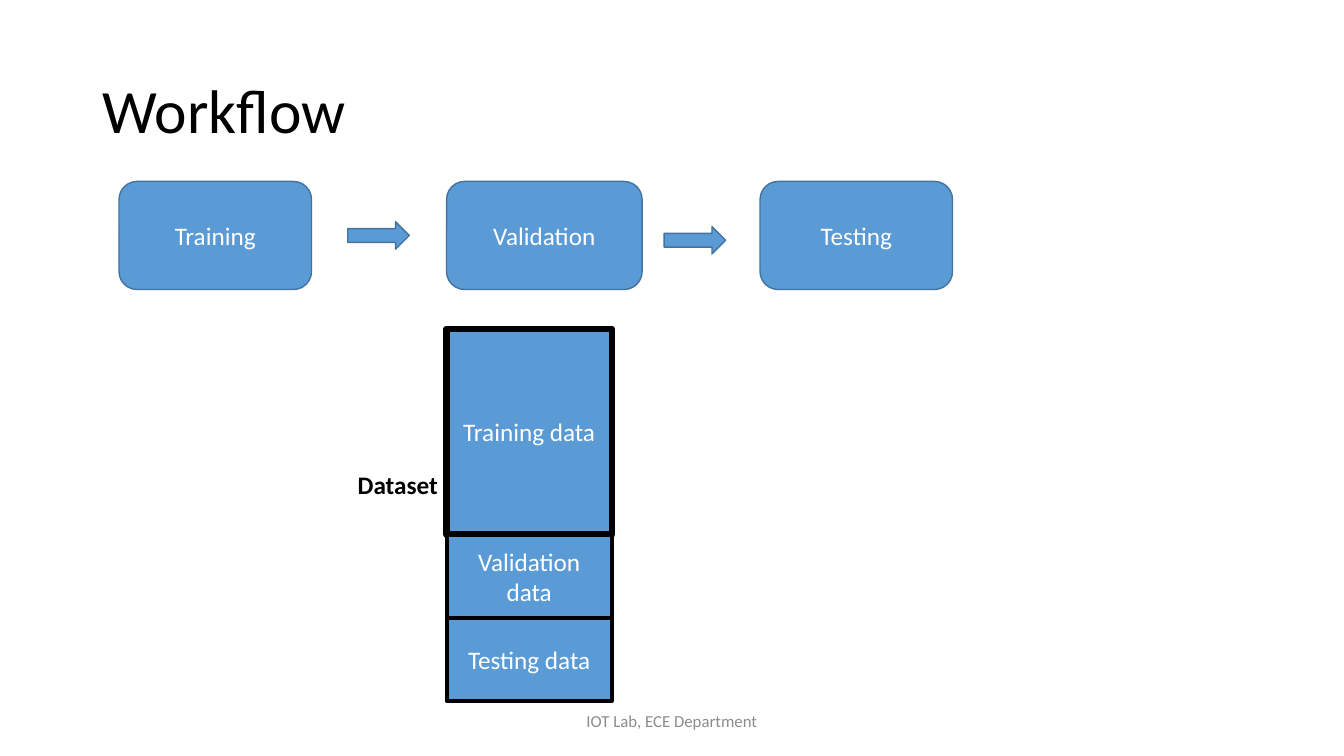
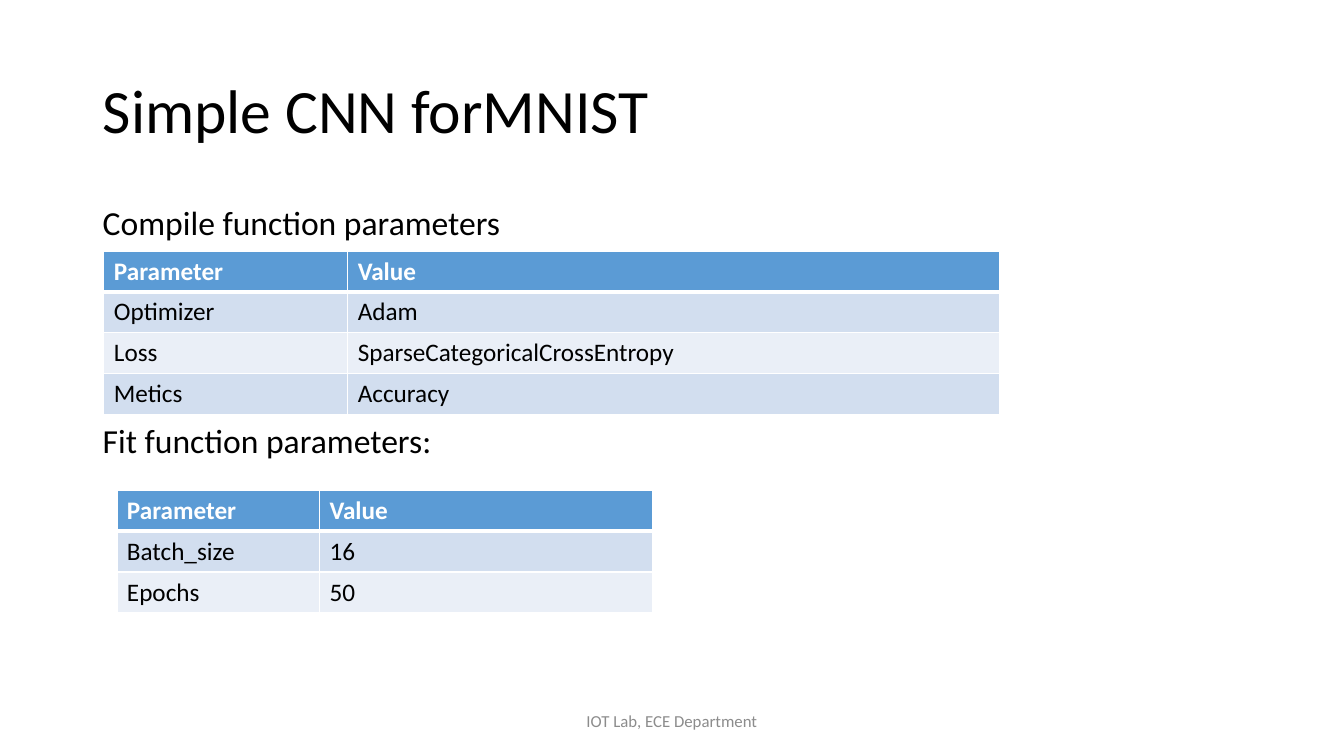
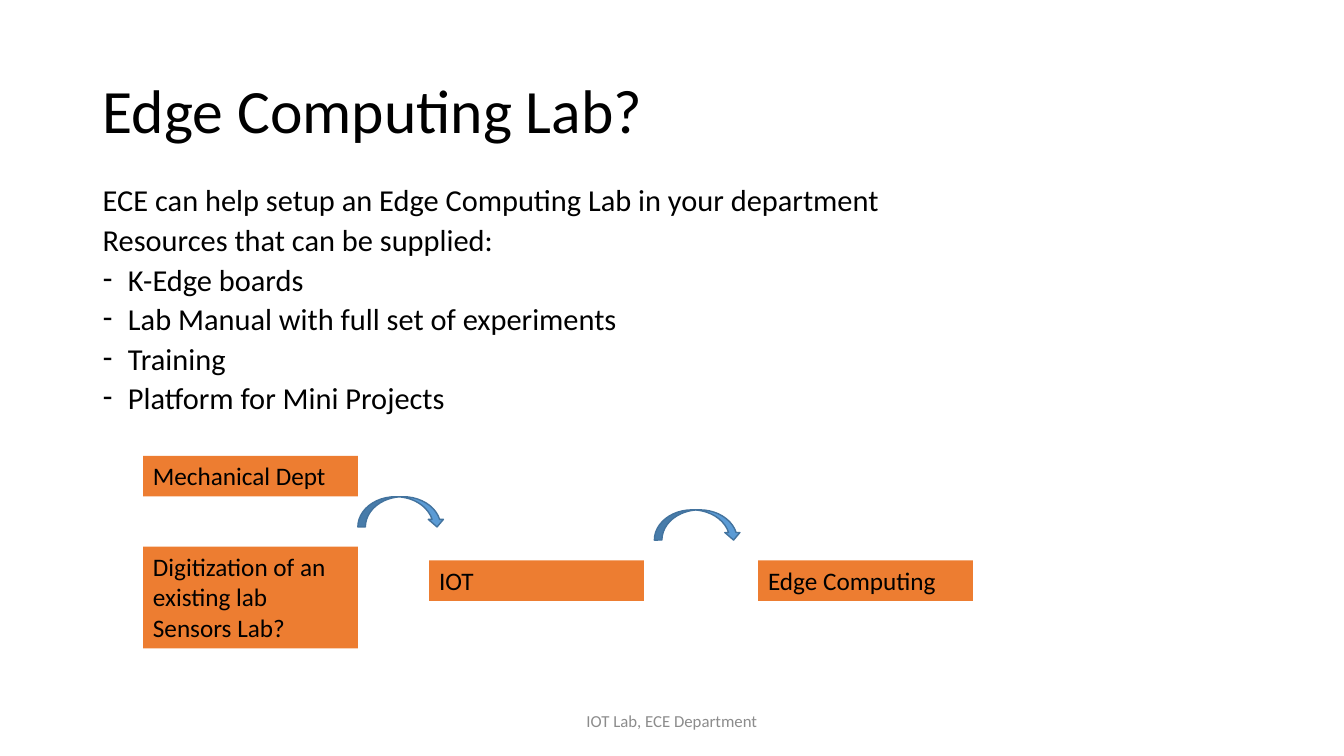
from dataclasses import dataclass

import pptx
import pptx.dml.color
import pptx.enum.shapes
import pptx.enum.text
import pptx.oxml
import pptx.oxml.ns
import pptx.util

Pt = pptx.util.Pt
RGBColor = pptx.dml.color.RGBColor
Kind = pptx.enum.shapes.MSO_SHAPE
Align = pptx.enum.text.PP_ALIGN
Anchor = pptx.enum.text.MSO_ANCHOR
Fit = pptx.enum.text.MSO_AUTO_SIZE

FONT = "Calibri"
BLACK = RGBColor(0x00, 0x00, 0x00)
WHITE = RGBColor(0xFF, 0xFF, 0xFF)
GREY = RGBColor(0x8C, 0x8C, 0x8C)
BLUE = RGBColor(0x5B, 0x9B, 0xD5)
NAVY = RGBColor(0x43, 0x73, 0x9E)
ORANGE = RGBColor(0xED, 0x7D, 0x31)
BANDS = (RGBColor(0xEA, 0xEF, 0xF7), RGBColor(0xD2, 0xDE, 0xEF))

ROW = 29.2
LABEL = 18


@dataclass(frozen=True)
class Area:
    left: float
    top: float
    width: float
    height: float

    def points(self) -> tuple:
        return Pt(self.left), Pt(self.top), Pt(self.width), Pt(self.height)


@dataclass(frozen=True)
class Style:
    fill: RGBColor
    ink: RGBColor
    line: RGBColor | None = None
    weight: float = 1
    align: Align = Align.CENTER
    anchor: Anchor = Anchor.MIDDLE


@dataclass(frozen=True)
class Box:
    kind: Kind
    area: Area
    style: Style
    lines: tuple[str, ...] = ()


@dataclass(frozen=True)
class Grid:
    left: float
    top: float
    widths: tuple[float, ...]
    rows: tuple[tuple[str, ...], ...]


@dataclass(frozen=True)
class Line:
    text: str
    before: float = 10
    dash: bool = False


TITLE = Area(66.2, 28.8, 828, 104.4)
FOOTER = Area(318, 500.4, 324, 28.8)
STEP = Style(BLUE, WHITE, NAVY)
TRAIN = Style(BLUE, WHITE, BLACK, 4.5)
SPLIT = Style(BLUE, WHITE, BLACK, 3)
TAG = Style(ORANGE, BLACK, align=Align.LEFT, anchor=Anchor.TOP)


def add_run(para, text: str, size: float, ink: RGBColor, bold: bool = False) -> None:
    run = para.add_run()
    run.text = text
    font = run.font
    font.name, font.size, font.bold = FONT, Pt(size), bold
    font.color.rgb = ink


def get_para(frame, index: int):
    return frame.add_paragraph() if index else frame.paragraphs[0]


def place(shape, area: Area) -> None:
    shape.left, shape.top, shape.width, shape.height = area.points()


def add_text(slide, area: Area, text: str, size: float, ink: RGBColor,
             align: Align, anchor: Anchor, bold: bool = False) -> None:
    frame = slide.shapes.add_textbox(*area.points()).text_frame
    frame.word_wrap = True
    frame.vertical_anchor = anchor
    frame.paragraphs[0].alignment = align
    add_run(frame.paragraphs[0], text, size, ink, bold)


def add_slide(deck, layout: int, title: str):
    """Start a slide with the common title and footer."""
    slide = deck.slides.add_slide(deck.slide_layouts[layout])
    head = slide.shapes.title
    place(head, TITLE)
    frame = head.text_frame
    frame.auto_size = Fit.NONE
    frame.vertical_anchor = Anchor.MIDDLE
    para = frame.paragraphs[0]
    para.alignment, para.line_spacing = Align.LEFT, 0.9
    add_run(para, title, 44, BLACK)
    add_text(slide, FOOTER, "IOT Lab, ECE Department", 12, GREY,
             Align.CENTER, Anchor.MIDDLE)
    return slide


def set_bullet(para, dash: bool) -> None:
    props = para._p.get_or_add_pPr()
    indent = Pt(18) if dash else 0
    props.set("marL", str(indent))
    props.set("indent", str(-indent))
    mark = pptx.oxml.parse_xml(
        f'<a:{"buChar" if dash else "buNone"} {pptx.oxml.ns.nsdecls("a")}/>')
    if dash:
        mark.set("char", "-")
    props.append(mark)


def fill_body(slide, area: Area, lines: tuple[Line, ...], size: float,
              pitch: float) -> None:
    body = slide.placeholders[1]
    place(body, area)
    frame = body.text_frame
    frame.auto_size = Fit.NONE
    for index, line in enumerate(lines):
        para = get_para(frame, index)
        set_bullet(para, line.dash)
        para.line_spacing = pitch
        para.space_before = Pt(line.before if index else 0)
        add_run(para, line.text, size, BLACK)


def draw_box(slide, box: Box) -> None:
    shape = slide.shapes.add_shape(box.kind, *box.area.points())
    style = box.style
    shape.shadow.inherit = False
    shape.fill.solid()
    shape.fill.fore_color.rgb = style.fill
    if style.line is None:
        shape.line.fill.background()
    else:
        shape.line.color.rgb = style.line
        shape.line.width = Pt(style.weight)
    frame = shape.text_frame
    frame.word_wrap = True
    frame.vertical_anchor = style.anchor
    for index, text in enumerate(box.lines):
        para = get_para(frame, index)
        para.alignment = style.align
        add_run(para, text, LABEL, style.ink)


def set_border(cell, row: int) -> None:
    """Rule the cell in white, with a thick line below the header row."""
    props = cell._tc.get_or_add_tcPr()
    weights = {"L": 1, "R": 1, "T": 3 if row == 1 else 1, "B": 1 if row else 3}
    for side, weight in weights.items():
        props.append(pptx.oxml.parse_xml(
            f'<a:ln{side} {pptx.oxml.ns.nsdecls("a")} w="{Pt(weight)}">'
            f'<a:solidFill><a:srgbClr val="{WHITE}"/></a:solidFill></a:ln{side}>'))


def draw_grid(slide, grid: Grid) -> None:
    count = len(grid.rows)
    area = Area(grid.left, grid.top, sum(grid.widths), ROW * count)
    table = slide.shapes.add_table(count, len(grid.widths), *area.points()).table
    for column, width in zip(table.columns, grid.widths):
        column.width = Pt(width)
    for row, texts in enumerate(grid.rows):
        table.rows[row].height = Pt(ROW)
        for col, text in enumerate(texts):
            cell = table.cell(row, col)
            set_border(cell, row)
            cell.fill.solid()
            cell.fill.fore_color.rgb = BANDS[row % 2] if row else BLUE
            add_run(cell.text_frame.paragraphs[0], text, LABEL,
                    BLACK if row else WHITE, bold=row == 0)


def build_flow(deck) -> None:
    slide = add_slide(deck, 5, "Workflow")
    for left, width, text in ((85, 137.5, "Training"), (319, 139.7, "Validation"),
                              (542.9, 137.5, "Testing")):
        draw_box(slide, Box(Kind.ROUNDED_RECTANGLE, Area(left, 129.6, width, 77.2),
                            STEP, (text,)))
    for left, top in ((248.4, 158.4), (474.4, 161.8)):
        draw_box(slide, Box(Kind.RIGHT_ARROW, Area(left, top, 44, 19.6), STEP))
    for top, height, style, text in ((234.8, 147, TRAIN, "Training data"),
                                     (382.2, 59.2, SPLIT, "Validation data"),
                                     (441.4, 59.2, SPLIT, "Testing data")):
        draw_box(slide, Box(Kind.RECTANGLE, Area(319, top, 118, height),
                            style, (text,)))
    add_text(slide, Area(248.4, 332, 101.5, 29), "Dataset", LABEL, BLACK,
             Align.LEFT, Anchor.TOP, bold=True)


def build_model(deck) -> None:
    slide = add_slide(deck, 1, "Simple CNN forMNIST")
    fill_body(slide, Area(66.2, 144, 828, 342.6),
              (Line("Compile function parameters"),
               Line("Fit function parameters:", before=130)), 24, 0.9)
    head = ("Parameter", "Value")
    draw_grid(slide, Grid(83.5, 350.2, (144.7, 237.6),
                          (head, ("Batch_size", "16"), ("Epochs", "50"))))
    draw_grid(slide, Grid(74.2, 179.3, (174.2, 465.8),
                          (head, ("Optimizer", "Adam"),
                           ("Loss", "SparseCategoricalCrossEntropy"),
                           ("Metics", "Accuracy"))))


def build_lab(deck) -> None:
    slide = add_slide(deck, 1, "Edge Computing Lab?")
    fill_body(slide, Area(66.2, 133.2, 828, 174.2),
              (Line("ECE can help setup an Edge Computing Lab in your department"),
               Line("Resources that can be supplied:"),
               Line("K-Edge boards", dash=True),
               Line("Lab Manual with full set of experiments", dash=True),
               Line("Training", dash=True),
               Line("Platform for Mini Projects", dash=True)), 21.7, 0.7)
    for left, top, height, lines in (
            (102.2, 325.6, 29, ("Mechanical Dept",)),
            (102.2, 390.4, 72.7, ("Digitization of an existing lab", "Sensors Lab?")),
            (306.6, 400.2, 29, ("IOT",)),
            (541.6, 400.2, 29, ("Edge Computing",))):
        draw_box(slide, Box(Kind.RECTANGLE, Area(left, top, 153.4, height),
                            TAG, lines))
    for left, top in ((255.6, 354.8), (467.4, 364.2)):
        draw_box(slide, Box(Kind.CURVED_DOWN_ARROW, Area(left, top, 62, 21.6), STEP))


def main() -> None:
    deck = pptx.Presentation()
    deck.slide_width, deck.slide_height = Pt(960), Pt(540)
    build_flow(deck)
    build_model(deck)
    build_lab(deck)
    deck.save("out.pptx")


if __name__ == "__main__":
    main()
